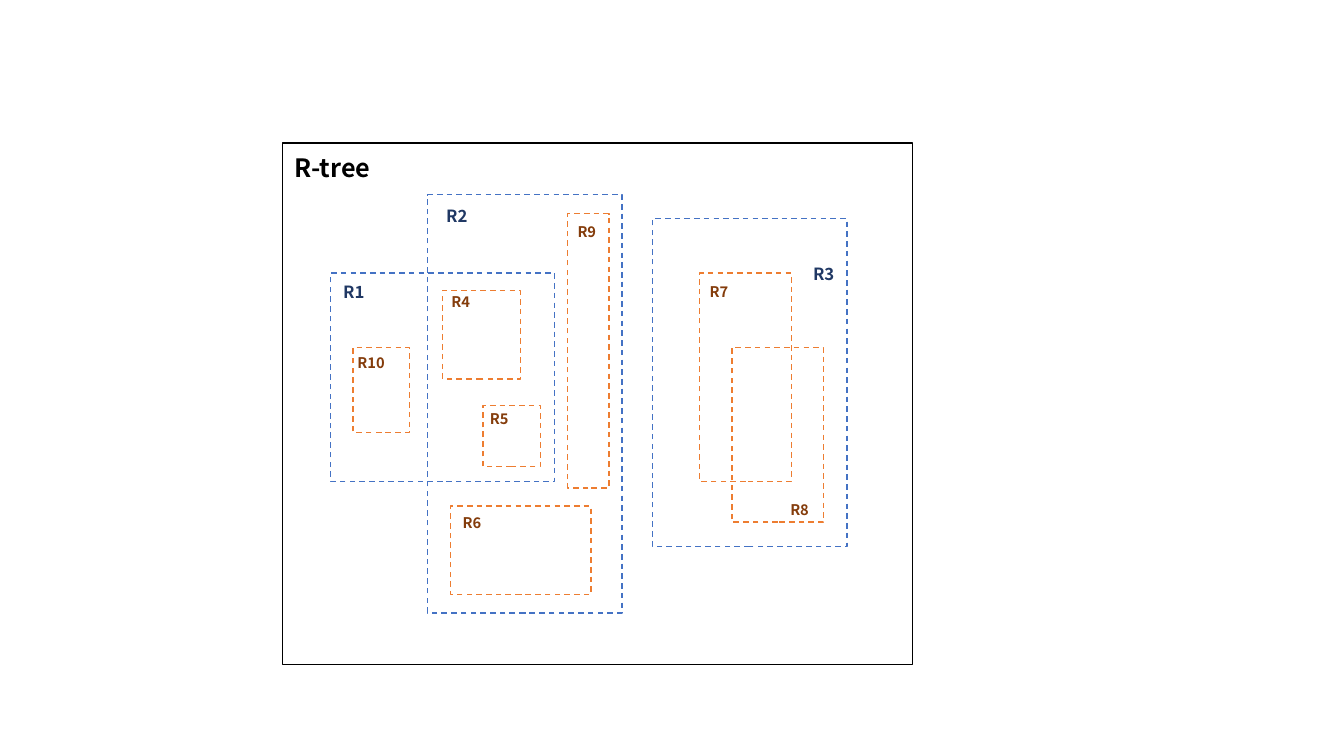
from pptx import Presentation
from pptx import util as u
from pptx.dml import color
from pptx.enum import dml, shapes, text

CELL = u.Inches(0.1)  # the slide is a grid of square cells
FONT = "Noto Sans CJK KR"
BLACK, BLUE, NAVY, ORANGE, BROWN = "000000", "4472C4", "203864", "ED7D31", "843C0B"


def add_frame(page, area, line_color, dash=None):
    """Add an unfilled rectangle; area is left, top, width, height in cells."""
    frame = page.shapes.add_shape(
        shapes.MSO_SHAPE.RECTANGLE, *(round(CELL * n) for n in area))
    frame.shadow.inherit = False
    frame.fill.background()
    frame.line.color.rgb = color.RGBColor.from_string(line_color)
    frame.line.width = u.Pt(1)
    frame.line.dash_style = dash


def set_label(box, area, words, size, text_color):
    """Place a text shape on the grid and give it one bold centred line."""
    box.left, box.top, box.width, box.height = (round(CELL * n) for n in area)
    frame = box.text_frame
    frame.text = words
    frame.word_wrap = False
    frame.auto_size = text.MSO_AUTO_SIZE.NONE
    frame.vertical_anchor = text.MSO_ANCHOR.MIDDLE
    paragraph = frame.paragraphs[0]
    paragraph.alignment = text.PP_ALIGN.CENTER
    font = paragraph.runs[0].font
    font.name, font.size, font.bold = FONT, u.Pt(size), True
    font.color.rgb = color.RGBColor.from_string(text_color)


deck = Presentation()
deck.slide_width, deck.slide_height = u.Inches(13.33), u.Inches(7.5)
page = deck.slides.add_slide(deck.slide_layouts[5])

add_frame(page, (28, 14.2, 62.5, 51.7), BLACK)
set_label(page.shapes.title, (28.2, 14.6, 9.6, 4), "R-tree", 18, BLACK)

# Each region: name, rectangle in cells, left and top of its label in cells
parents = [
    ("R1", (32.8, 27.1, 22.2, 20.7), (32.2, 27.5)),
    ("R2", (42.4, 19.3, 19.3, 41.5), (42.4, 19.9)),
    ("R3", (64.7, 21.7, 19.3, 32.5), (78.8, 25.7)),
]
children = [
    ("R4", (43.9, 28.8, 7.7, 8.8), (42.8, 28.5)),
    ("R5", (47.9, 40.2, 5.7, 6.1), (46.6, 40.1)),
    ("R10", (35, 34.5, 5.6, 8.4), (33.9, 34.5)),
    ("R6", (44.7, 50.2, 13.9, 8.8), (43.9, 50.4)),
    ("R7", (69.4, 27.1, 9.1, 20.7), (68.4, 27.5)),
    ("R8", (72.6, 34.5, 9.1, 17.3), (76.4, 49.1)),
    ("R9", (56.3, 21.2, 4.1, 27.2), (55.3, 21.5)),
]
levels = [(parents, BLUE, NAVY, 12, 3), (children, ORANGE, BROWN, 10.5, 2.9)]

for regions, line_color, text_color, size, label_height in levels:
    for name, area, corner in regions:
        add_frame(page, area, line_color, dml.MSO_LINE.DASH)
        label = page.shapes.add_textbox(0, 0, CELL, CELL)
        set_label(label, (*corner, 5.8, label_height), name, size, text_color)

deck.save("out.pptx")
